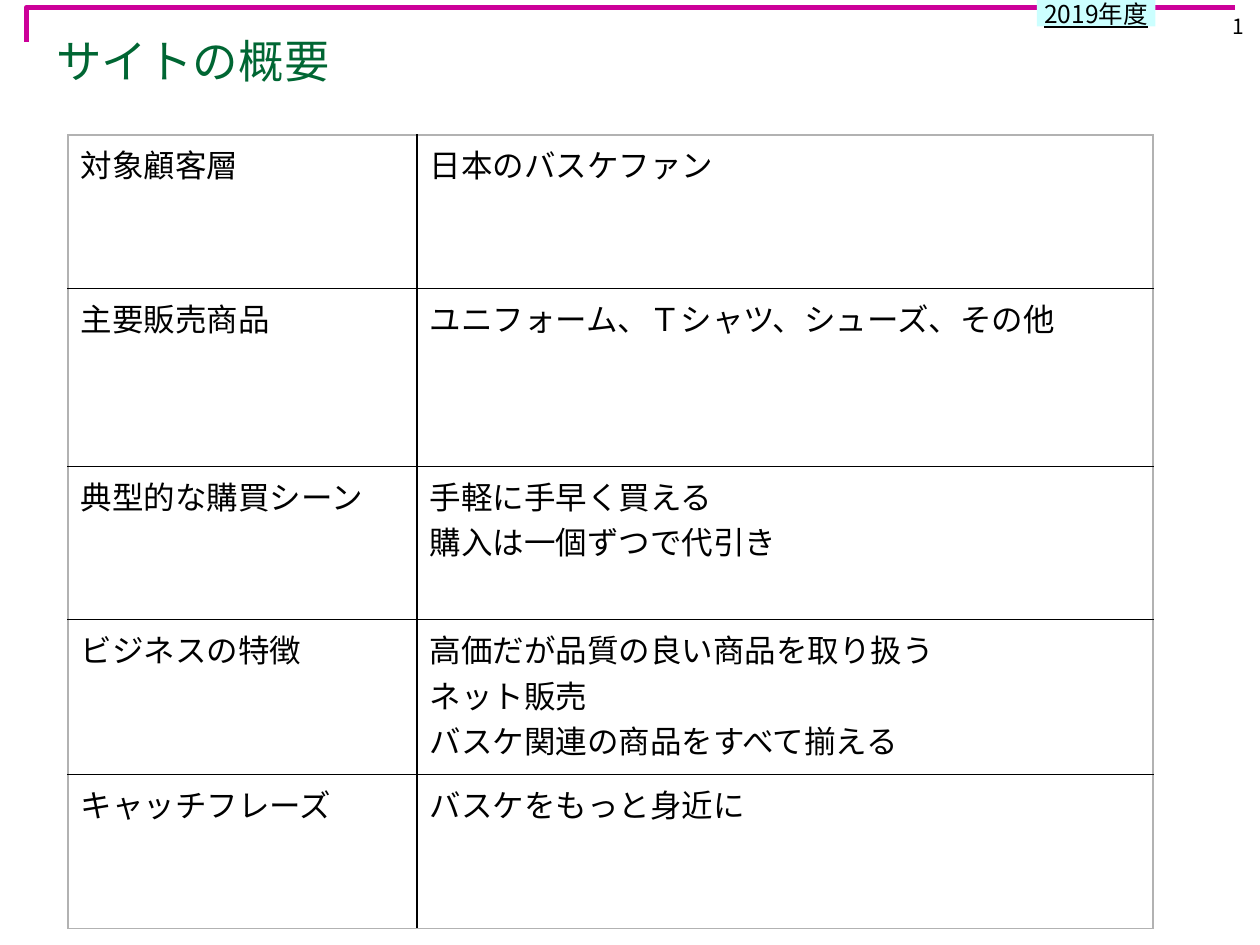
from typing import NamedTuple

from lxml.etree import SubElement
from pptx import Presentation
from pptx.dml.color import RGBColor
from pptx.enum.shapes import MSO_SHAPE
from pptx.enum.text import MSO_ANCHOR, PP_ALIGN
from pptx.oxml import parse_xml
from pptx.oxml.ns import nsdecls, qn
from pptx.util import Inches, Pt

FONT = "Noto Sans CJK JP"
BLACK, GRAY, GREEN = "000000", "B2B2B2", "006633"
MAGENTA, PALE_CYAN = "CC0099", "CCFFFF"


class Box(NamedTuple):
    left: float
    top: float
    width: float
    height: float

    def lengths(self):
        return [Inches(value) for value in self]


class TextStyle(NamedTuple):
    size: float
    color: str = BLACK
    align: PP_ALIGN = PP_ALIGN.LEFT
    anchor: MSO_ANCHOR = MSO_ANCHOR.TOP
    underline: bool = False
    wrap: bool = True


class OverviewRow(NamedTuple):
    height: float
    heading: str
    details: list[str]


class Border(NamedTuple):
    color: str
    width: float


OUTER = Border(GRAY, 1)
COLUMN_RULE = Border(BLACK, 1)
ROW_RULE = Border(BLACK, 0.75)

TABLE_BOX = Box(0.54, 1.07, 8.61, 6.31)
COLUMN_WIDTHS = [2.77, 5.84]
ROWS = [
    OverviewRow(1.22, "対象顧客層", ["日本のバスケファン"]),
    OverviewRow(1.41, "主要販売商品", ["ユニフォーム、Ｔシャツ、シューズ、その他"]),
    OverviewRow(1.22, "典型的な購買シーン", ["手軽に手早く買える", "購入は一個ずつで代引き"]),
    OverviewRow(1.23, "ビジネスの特徴",
                ["高価だが品質の良い商品を取り扱う", "ネット販売", "バスケ関連の商品をすべて揃える"]),
    OverviewRow(1.22, "キャッチフレーズ", ["バスケをもっと身近に"]),
]


def rgb(color: str) -> RGBColor:
    return RGBColor.from_string(color)


def write_lines(text_frame, lines: list[str], style: TextStyle) -> None:
    for index, line in enumerate(lines):
        paragraph = text_frame.paragraphs[0] if index == 0 else text_frame.add_paragraph()
        paragraph.alignment = style.align
        run = paragraph.add_run()
        run.text = line
        run.font.size = Pt(style.size)
        run.font.name = FONT
        run.font.underline = style.underline
        run.font.color.rgb = rgb(style.color)
        SubElement(run.font._element, qn("a:ea")).set("typeface", FONT)


def fill_frame(shape, text: str, style: TextStyle) -> None:
    frame = shape.text_frame
    frame.word_wrap = style.wrap
    frame.vertical_anchor = style.anchor
    write_lines(frame, [text], style)


def add_corner_rule(slide) -> None:
    builder = slide.shapes.build_freeform(Inches(0.21), Inches(0.33))
    builder.add_line_segments(
        [(Inches(0.21), Inches(0.06)), (Inches(9.8), Inches(0.06))], close=False)
    rule = builder.convert_to_shape()
    rule.shadow.inherit = False
    rule.fill.background()
    rule.line.color.rgb = rgb(MAGENTA)
    rule.line.width = Pt(3)


def add_year_label(slide) -> None:
    label = slide.shapes.add_shape(MSO_SHAPE.RECTANGLE, *Box(8.23, 0, 0.94, 0.21).lengths())
    label.shadow.inherit = False
    label.fill.solid()
    label.fill.fore_color.rgb = rgb(PALE_CYAN)
    label.line.fill.background()
    fill_frame(label, "2019年度", TextStyle(
        14, align=PP_ALIGN.CENTER, anchor=MSO_ANCHOR.MIDDLE, underline=True, wrap=False))


def add_text(slide, box: Box, text: str, style: TextStyle) -> None:
    fill_frame(slide.shapes.add_textbox(*box.lengths()), text, style)


def set_borders(cell, left: Border, right: Border, top: Border, bottom: Border) -> None:
    sides = zip(("lnL", "lnR", "lnT", "lnB"), (left, right, top, bottom))
    properties = cell._tc.get_or_add_tcPr()
    for position, (tag, border) in enumerate(sides):
        properties.insert(position, parse_xml(
            f'<a:{tag} {nsdecls("a")} w="{Pt(border.width)}"><a:solidFill>'
            f'<a:srgbClr val="{border.color}"/></a:solidFill></a:{tag}>'))


def add_overview_table(slide) -> None:
    table = slide.shapes.add_table(
        len(ROWS), len(COLUMN_WIDTHS), *TABLE_BOX.lengths()).table
    table.first_row = table.horz_banding = False
    for column, width in zip(table.columns, COLUMN_WIDTHS):
        column.width = Inches(width)
    for row_index, row in enumerate(ROWS):
        table.rows[row_index].height = Inches(row.height)
        top = OUTER if row_index == 0 else ROW_RULE
        bottom = OUTER if row_index == len(ROWS) - 1 else ROW_RULE
        for column_index, lines in enumerate([[row.heading], row.details]):
            cell = table.cell(row_index, column_index)
            cell.fill.background()
            left, right = (OUTER, COLUMN_RULE) if column_index == 0 else (COLUMN_RULE, OUTER)
            set_borders(cell, left, right, top, bottom)
            write_lines(cell.text_frame, lines, TextStyle(18))


def main() -> None:
    presentation = Presentation()
    presentation.slide_width, presentation.slide_height = Inches(10), Inches(7.5)
    slide = presentation.slides.add_slide(presentation.slide_layouts[6])
    add_corner_rule(slide)
    add_year_label(slide)
    add_text(slide, Box(9.15, 0.09, 0.82, 0.27), "1",
             TextStyle(12, align=PP_ALIGN.RIGHT, anchor=MSO_ANCHOR.BOTTOM))
    add_text(slide, Box(0.35, 0.21, 7.87, 0.69), "サイトの概要", TextStyle(26, GREEN))
    add_overview_table(slide)
    presentation.save("out.pptx")


if __name__ == "__main__":
    main()
